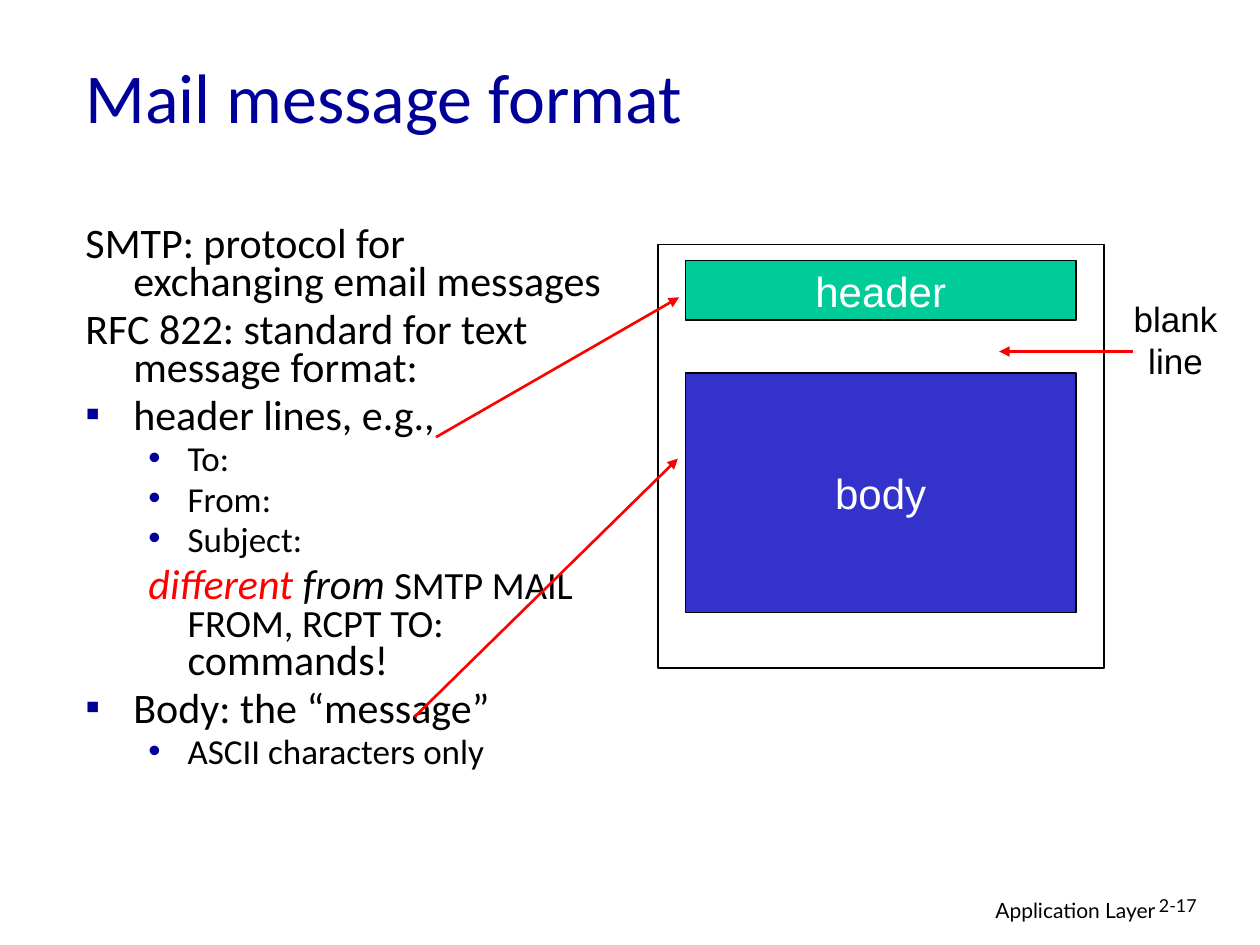
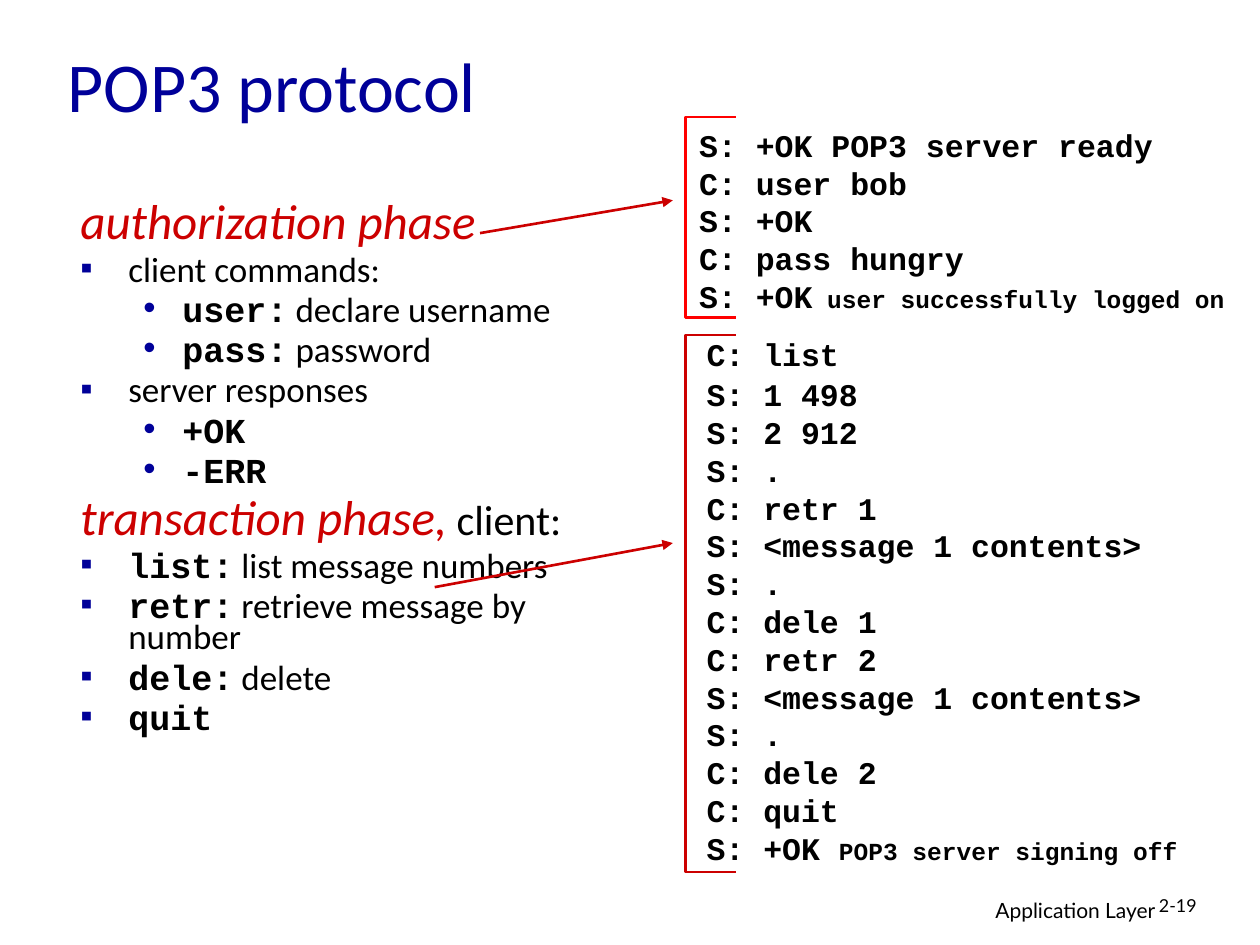
from dataclasses import dataclass
from typing import NamedTuple

from lxml.etree import SubElement
from pptx import Presentation
from pptx.dml.color import RGBColor
from pptx.enum.shapes import MSO_CONNECTOR, MSO_SHAPE
from pptx.enum.text import MSO_ANCHOR, PP_ALIGN
from pptx.oxml.ns import qn
from pptx.util import Inches, Pt

# Shared look
NAVY, RED, BRICK = "000099", "FF0000", "CC0000"
BLACK, WHITE = "000000", "FFFFFF"
GREEN, BLUE = "00CC99", "3333CC"
SANS, MONO, LATO, ARIAL = "Calibri", "Courier New", "Lato", "Arial"
BULLETS = ("▪", "•")
INDENTS = ((0.38, -0.38), (0.81, -0.31))


class Box(NamedTuple):
    left: float
    top: float
    width: float
    height: float


class Arrow(NamedTuple):
    x1: float
    y1: float
    x2: float
    y2: float
    color: str


class Run(NamedTuple):
    text: str
    size: float = 20
    font: str = SANS
    color: str = BLACK
    bold: bool = False
    ital: bool = False


@dataclass
class Item:
    """One outline paragraph."""
    runs: list[Run]
    level: int = 0
    bullet: bool = True
    before: float = 5


def paint(color: str) -> RGBColor:
    return RGBColor.from_string(color)


def write(par, text: str, *, size: float = 20, font: str = SANS,
          color: str = BLACK, bold: bool = False, ital: bool = False) -> None:
    run = par.add_run()
    run.text = text
    face = run.font
    face.size, face.name = Pt(size), font
    face.bold, face.italic = bold, ital
    face.color.rgb = paint(color)


def frame(slide, box: Box):
    area = slide.shapes.add_textbox(*map(Inches, box)).text_frame
    area.word_wrap = True
    return area


def lines(area, items):
    """Pair each item with its own paragraph."""
    for spot, item in enumerate(items):
        yield (area.add_paragraph() if spot else area.paragraphs[0]), item


def label(slide, box: Box, text: str, align=PP_ALIGN.LEFT,
          anchor=MSO_ANCHOR.TOP, pitch: float = 1.0, **style) -> None:
    area = frame(slide, box)
    area.vertical_anchor = anchor
    for par, line in lines(area, text.split("\n")):
        par.alignment = align
        par.line_spacing = pitch
        write(par, line, **style)


def outline(slide, box: Box, items: list[Item]) -> None:
    for par, item in lines(frame(slide, box), items):
        par.level = item.level
        par.line_spacing = 0.75
        par.space_before = Pt(item.before)
        props = par._p.get_or_add_pPr()
        margin, hang = INDENTS[item.level]
        props.set("marL", str(Inches(margin)))
        props.set("indent", str(Inches(hang)))
        if item.bullet:
            tint = SubElement(props, qn("a:buClr"))
            SubElement(tint, qn("a:srgbClr")).set("val", NAVY)
            SubElement(props, qn("a:buFont")).set("typeface", ARIAL)
            SubElement(props, qn("a:buChar")).set("char", BULLETS[item.level])
        for run in item.runs:
            write(par, **run._asdict())


def arrow(slide, way: Arrow) -> None:
    link = slide.shapes.add_connector(
        MSO_CONNECTOR.STRAIGHT, *map(Inches, way[:4]))
    link.line.color.rgb = paint(way.color)
    link.line.width = Pt(1.5)
    SubElement(link.line._get_or_add_ln(), qn("a:tailEnd")).set("type", "triangle")
    SubElement(link._element.spPr, qn("a:effectLst"))


def edge(shape, color: str, width: float, fill: str = "") -> None:
    shape.shadow.inherit = False
    if fill:
        shape.fill.solid()
        shape.fill.fore_color.rgb = paint(fill)
    else:
        shape.fill.background()
    shape.line.color.rgb = paint(color)
    shape.line.width = Pt(width)


def block(slide, box: Box, text: str = "", fill: str = "", width: float = 0.75) -> None:
    shape = slide.shapes.add_shape(MSO_SHAPE.RECTANGLE, *map(Inches, box))
    edge(shape, BLACK, width, fill)
    if text:
        area = shape.text_frame
        area.word_wrap = False
        area.vertical_anchor = MSO_ANCHOR.MIDDLE
        par = area.paragraphs[0]
        par.alignment = PP_ALIGN.CENTER
        write(par, text, size=24, font=ARIAL, color=WHITE)


def bracket(slide, box: Box, color: str) -> None:
    left, top, right, low = map(Inches, (
        box.left, box.top, box.left + box.width, box.top + box.height))
    path = slide.shapes.build_freeform(right, top)
    path.add_line_segments([(left, top), (left, low), (right, low)], close=False)
    edge(path.convert_to_shape(), color, 1.5)


def log(slide, box: Box, rows: list[str], note: str, gap: float = 0) -> None:
    """Dialogue in fixed pitch; the note ends the last row in small type."""
    area = frame(slide, box)
    for par, row in lines(area, rows):
        par.line_spacing = Pt(21.6)
        write(par, row, size=18, font=MONO, bold=True)
    area.paragraphs[0].space_after = Pt(gap)
    write(area.paragraphs[-1], note, size=14, font=MONO, bold=True)


def start(deck, title: str, box: Box, page: str):
    """Blank slide with its title and footer."""
    slide = deck.slides.add_slide(deck.slide_layouts[6])
    label(slide, Box(6.1, 7.07, 3.17, 0.31), "Application Layer",
          align=PP_ALIGN.RIGHT, size=12, font=LATO)
    label(slide, Box(9.1, 7.07, 0.74, 0.3), page, pitch=0.9, size=10.2, font=LATO)
    label(slide, box, title, anchor=MSO_ANCHOR.MIDDLE, size=40, color=NAVY)
    return slide


def point(text: str) -> Item:
    return Item([Run(text, 24)], before=6)


def lead(text: str) -> Item:
    return Item([Run(text, 24)], bullet=False, before=6)


def sub(text: str) -> Item:
    return Item([Run(text)], level=1)


def code(word: str, text: str = "", level: int = 0) -> Item:
    runs = [Run(word, font=MONO, bold=True)]
    return Item(runs + [Run(text)] if text else runs, level)


def phase(text: str) -> Run:
    return Run(text, 28, color=BRICK, ital=True)


def mail(deck) -> None:
    slide = start(deck, "Mail message format", Box(0.58, 0.13, 8.5, 1.25), "2-17")
    outline(slide, Box(0.58, 1.76, 4.29, 5.08), [
        lead("SMTP: protocol for exchanging email messages"),
        lead("RFC 822: standard for text message format:"),
        point("header lines, e.g.,"),
        *map(sub, ("To:", "From:", "Subject:")),
        Item([Run("different ", 24, color=RED, ital=True),
              Run("from ", 24, ital=True),
              Run("SMTP MAIL FROM, RCPT TO:", 22),
              Run(" commands!", 24)], level=1, bullet=False, before=6),
        point("Body: the “message”"),
        sub("ASCII characters only"),
    ])
    # Message layout
    block(slide, Box(5.44, 2.07, 3.1, 0.47), "header", GREEN)
    block(slide, Box(5.44, 2.96, 3.1, 1.9), "body", BLUE)
    block(slide, Box(5.22, 1.94, 3.54, 3.36), width=1)
    label(slide, Box(8.73, 2.31, 1.2, 0.77), "blank\nline",
          align=PP_ALIGN.CENTER, size=20, font=ARIAL)
    for way in (Arrow(3.46, 3.47, 5.39, 2.36, RED),
                Arrow(3.29, 5.69, 5.38, 3.64, RED),
                Arrow(8.99, 2.79, 7.93, 2.79, RED)):
        arrow(slide, way)


def pop(deck) -> None:
    slide = start(deck, "POP3 protocol", Box(0.44, 0.14, 8.5, 1.06), "2-19")
    outline(slide, Box(0.54, 1.57, 4.34, 5.08), [
        Item([phase("authorization phase")], bullet=False, before=7),
        Item([Run("client commands:")]),
        code("user:", " declare username", 1),
        code("pass:", " password", 1),
        Item([Run("server responses")]),
        code("+OK", level=1),
        code("-ERR", level=1),
        Item([phase("transaction phase,"), Run(" client:", 24)],
             bullet=False, before=6),
        code("list:", " list message numbers"),
        code("retr:", " retrieve message by number"),
        code("dele:", " delete"),
        code("quit"),
    ])
    # Sample session
    log(slide, Box(5.51, 2.61, 4.2, 4.32), [
        "C: list", "S: 1 498", "S: 2 912", "S: .",
        "C: retr 1", "S: <message 1 contents>", "S: .", "C: dele 1",
        "C: retr 2", "S: <message 1 contents>", "S: .", "C: dele 2",
        "C: quit", "S: +OK "], "POP3 server signing off", gap=1.3)
    log(slide, Box(5.45, 0.95, 4.5, 1.6), [
        "S: +OK POP3 server ready", "C: user bob", "S: +OK",
        "C: pass hungry", "S: +OK"], " user successfully logged on")
    bracket(slide, Box(5.44, 0.93, 0.4, 1.59), RED)
    bracket(slide, Box(5.44, 2.66, 0.4, 4.26), BRICK)
    arrow(slide, Arrow(3.81, 1.85, 5.34, 1.59, BRICK))
    arrow(slide, Arrow(3.45, 4.66, 5.34, 4.31, BRICK))


def main() -> None:
    deck = Presentation()
    deck.slide_width, deck.slide_height = Inches(10), Inches(7.5)
    mail(deck)
    pop(deck)
    deck.save("out.pptx")


if __name__ == "__main__":
    main()
